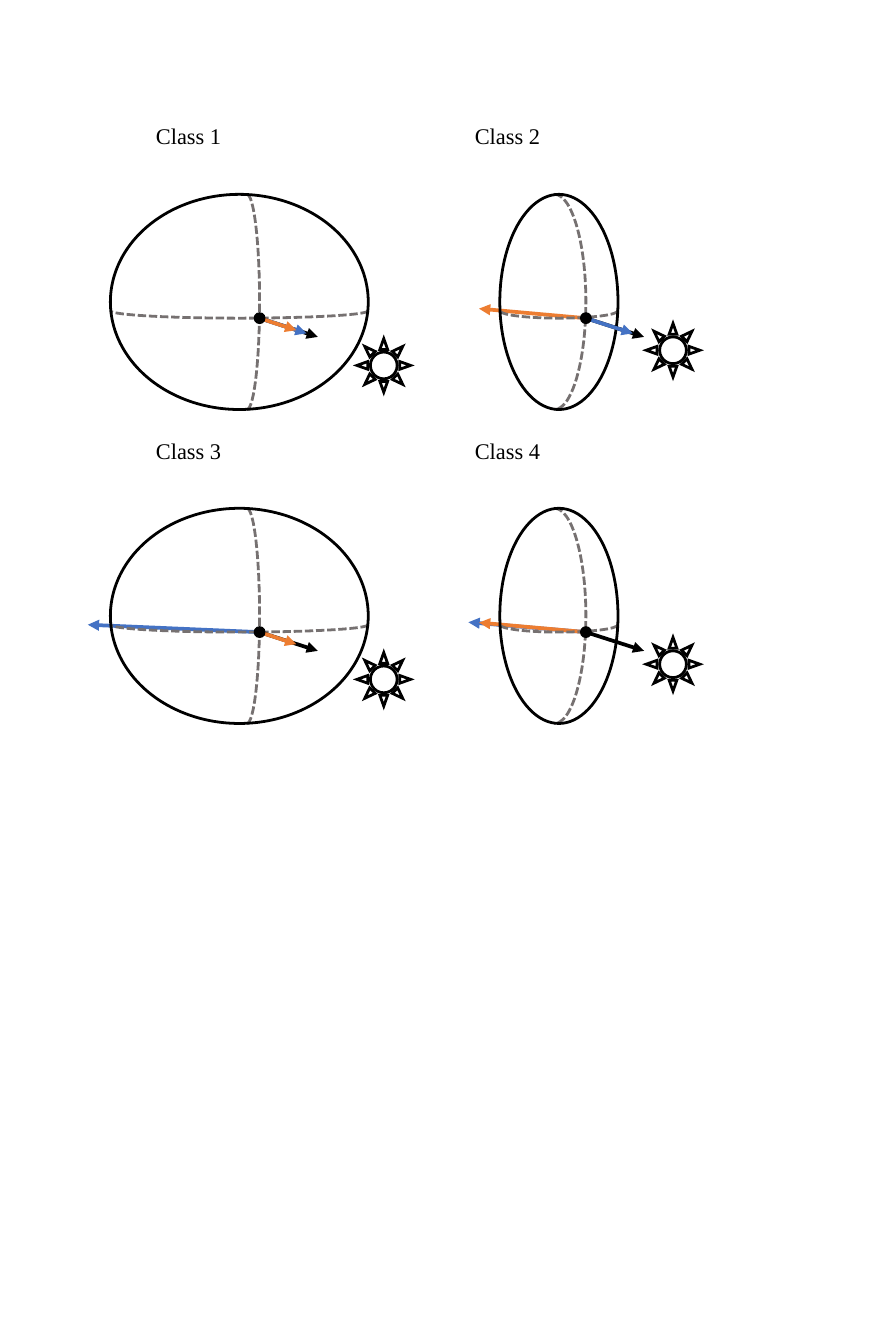
from dataclasses import dataclass
from math import cos, pi, sin

from lxml.etree import SubElement
from pptx import Presentation
from pptx.dml.color import RGBColor
from pptx.dml.line import LineFormat
from pptx.enum.dml import MSO_LINE
from pptx.enum.shapes import MSO_CONNECTOR, MSO_SHAPE
from pptx.oxml.ns import qn
from pptx.shapes.autoshape import Shape
from pptx.shapes.shapetree import GroupShapes
from pptx.util import Cm, Pt

BLACK, BLUE, ORANGE, GREY = "000000", "4472C4", "ED7D31", "767171"

# Lengths in centimetres
ROW_PITCH, LABEL_PITCH = 8.9, 8.94
GLOBE_TOP, GLOBE_HEIGHT = 5.51, 6.1
EQUATOR_TOP, EQUATOR_DEPTH = 8.81, 0.21
POINT_Y = EQUATOR_TOP + EQUATOR_DEPTH
POINT_SIZE = 0.3
SUN_SIZE = 1.52
LABEL_TOP, LABEL_WIDTH, LABEL_HEIGHT = 3.33, 6, 1.03

# Handle length of a Bezier quarter circle of radius 1
HANDLE = 0.55


@dataclass(frozen=True)
class Body:
    """Outline of one column: a wide or a narrow globe with its sun."""
    left: float
    width: float
    meridian_x: float
    point_x: float
    sun_left: float
    sun_top: float
    label_left: float


@dataclass(frozen=True)
class Arrow:
    color: str
    dx: float
    dy: float


@dataclass(frozen=True)
class Case:
    label: str
    body: Body
    row: int
    arrows: tuple[Arrow, ...]


WIDE = Body(3.13, 7.31, 7.0, 7.36, 10.12, 9.6, 4.17)
NARROW = Body(14.17, 3.35, 15.72, 16.61, 18.32, 9.17, 13.21)

TO_SUN = Arrow(BLACK, 1.65, 0.53)
BLUE_TO_SUN = Arrow(BLUE, 1.33, 0.43)
ORANGE_TO_SUN = Arrow(ORANGE, 1.04, 0.34)
ORANGE_AWAY = Arrow(ORANGE, -3.03, -0.27)

CASES = (
    Case("Class 1", WIDE, 0, (TO_SUN, BLUE_TO_SUN, ORANGE_TO_SUN)),
    Case("Class 2", NARROW, 0, (ORANGE_AWAY, TO_SUN, BLUE_TO_SUN)),
    Case("Class 3", WIDE, 1, (Arrow(BLUE, -4.87, -0.21), TO_SUN, ORANGE_TO_SUN)),
    Case("Class 4", NARROW, 1, (Arrow(BLUE, -3.33, -0.28), ORANGE_AWAY, TO_SUN)),
)


def rgb(color: str) -> RGBColor:
    return RGBColor.from_string(color)


def style_line(line: LineFormat, color: str, width: float) -> None:
    line.color.rgb = rgb(color)
    line.width = Pt(width)


def add_outline(shapes: GroupShapes, kind: MSO_SHAPE, left: float, top: float,
                width: float, height: float, weight: float = 2.25) -> Shape:
    shape = shapes.add_shape(kind, Cm(left), Cm(top), Cm(width), Cm(height))
    shape.shadow.inherit = False
    shape.fill.background()
    style_line(shape.line, BLACK, weight)
    # Sharp corners for the sun's rays
    SubElement(shape.element.spPr.find(qn("a:ln")), qn("a:miter"), lim="800000")
    return shape


def add_dashed_arc(shapes: GroupShapes, center_x: float, center_y: float,
                   radius_x: float, radius_y: float, start: float) -> None:
    """Draw half an ellipse as two Bezier quarters, clockwise from the start angle."""

    def place(angle: float, handle: float = 0) -> tuple[int, int]:
        return (Cm(center_x + radius_x * (cos(angle) - handle * sin(angle))),
                Cm(center_y + radius_y * (sin(angle) + handle * cos(angle))))

    builder = shapes.build_freeform(*place(start))
    for begin in (start, start + pi / 2):
        end = begin + pi / 2
        builder.add_line_segments(
            [place(begin, HANDLE), place(end, -HANDLE), place(end)], close=False)
    arc = builder.convert_to_shape()

    # Each three points become the handles and the end of one curve
    outline = next(arc.element.iter(qn("a:path")))
    segments = outline.findall(qn("a:lnTo"))
    for first in range(0, len(segments), 3):
        curve = SubElement(outline, qn("a:cubicBezTo"))
        for segment in segments[first:first + 3]:
            curve.append(segment[0])
            outline.remove(segment)

    arc.shadow.inherit = False
    arc.fill.background()
    style_line(arc.line, GREY, 2.25)
    arc.line.dash_style = MSO_LINE.SQUARE_DOT


def add_arrow(shapes: GroupShapes, x: float, y: float, arrow: Arrow) -> None:
    vector = shapes.add_connector(MSO_CONNECTOR.STRAIGHT, Cm(x), Cm(y),
                                  Cm(x + arrow.dx), Cm(y + arrow.dy))
    style_line(vector.line, arrow.color, 3)
    properties = vector.element.spPr
    SubElement(properties.find(qn("a:ln")), qn("a:tailEnd"), type="triangle")
    SubElement(properties, qn("a:effectLst"))


def add_label(shapes: GroupShapes, text: str, left: float, top: float) -> None:
    label = shapes.add_textbox(Cm(left), Cm(top), Cm(LABEL_WIDTH), Cm(LABEL_HEIGHT))
    label.text_frame.word_wrap = True
    run = label.text_frame.paragraphs[0].add_run()
    run.text = text
    run.font.name = "Times New Roman"
    run.font.size = Pt(18)
    run.font.color.rgb = rgb(BLACK)


def draw_case(shapes: GroupShapes, case: Case) -> None:
    body = case.body
    shift = case.row * ROW_PITCH
    point_y = POINT_Y + shift
    globe_top = GLOBE_TOP + shift

    # Arrows away from the sun lie behind the globe
    for arrow in case.arrows:
        if arrow.dx < 0:
            add_arrow(shapes, body.point_x, point_y, arrow)

    # Globe with equator and meridian
    add_dashed_arc(shapes, body.left + body.width / 2, EQUATOR_TOP + shift,
                   body.width / 2, EQUATOR_DEPTH, 0)
    add_dashed_arc(shapes, body.meridian_x, globe_top + GLOBE_HEIGHT / 2,
                   body.point_x - body.meridian_x, GLOBE_HEIGHT / 2, -pi / 2)
    add_outline(shapes, MSO_SHAPE.OVAL, body.left, globe_top, body.width, GLOBE_HEIGHT)

    # Arrows towards the sun
    for arrow in case.arrows:
        if arrow.dx > 0:
            add_arrow(shapes, body.point_x, point_y, arrow)

    # Surface point, sun and label
    point = add_outline(shapes, MSO_SHAPE.OVAL, body.point_x - POINT_SIZE / 2,
                        point_y - POINT_SIZE / 2, POINT_SIZE, POINT_SIZE, 1)
    point.fill.solid()
    point.fill.fore_color.rgb = rgb(BLACK)
    add_outline(shapes, MSO_SHAPE.SUN, body.sun_left, body.sun_top + shift,
                SUN_SIZE, SUN_SIZE)
    add_label(shapes, case.label, body.label_left, LABEL_TOP + case.row * LABEL_PITCH)


def main() -> None:
    deck = Presentation()
    deck.slide_width, deck.slide_height = Cm(25.4), Cm(38.1)
    slide = deck.slides.add_slide(deck.slide_layouts[6])
    figure = slide.shapes.add_group_shape()
    for case in CASES:
        draw_case(figure.shapes, case)
    deck.save("out.pptx")


if __name__ == "__main__":
    main()
